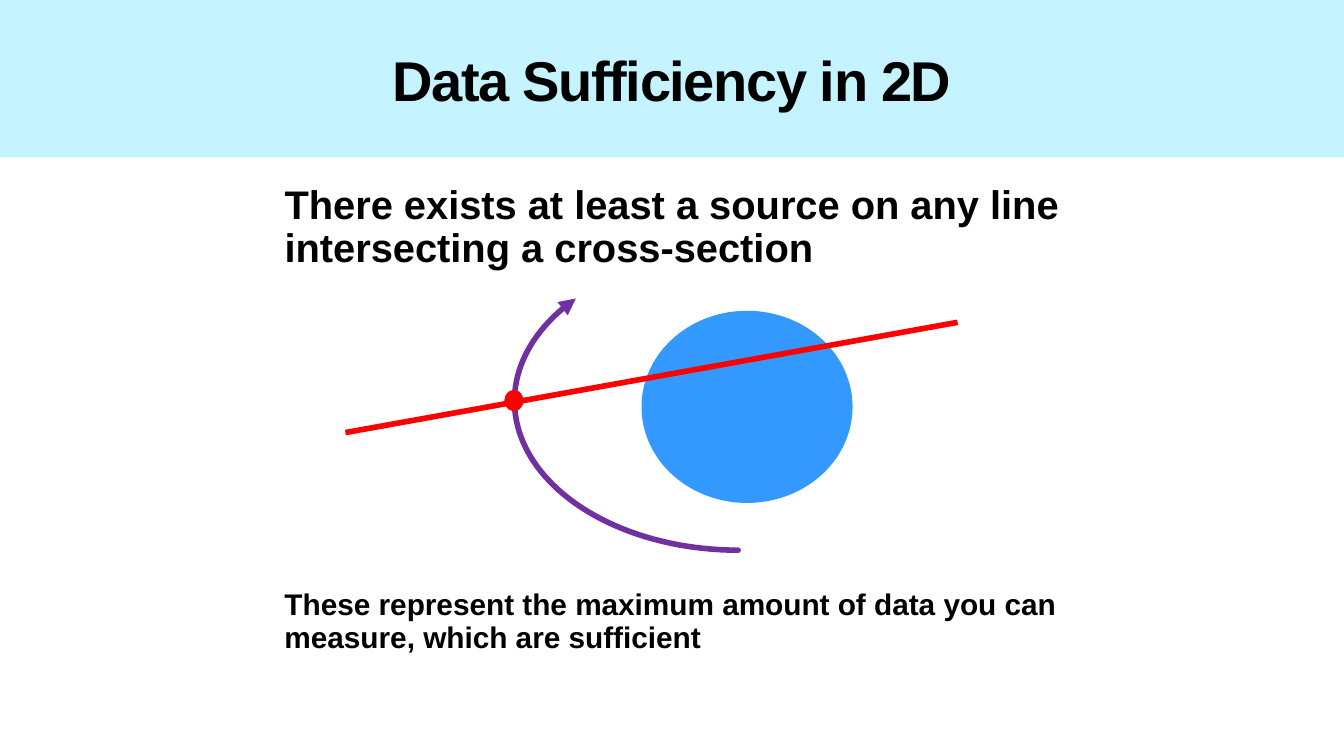
from math import cos, radians, sin

from lxml.etree import SubElement
from pptx import Presentation
from pptx.dml.color import RGBColor
from pptx.enum.shapes import MSO_CONNECTOR, MSO_SHAPE
from pptx.enum.text import MSO_ANCHOR, MSO_AUTO_SIZE, PP_ALIGN
from pptx.oxml.ns import qn
from pptx.util import Pt

EMU_PER_PX = 9525
BLACK, RED, BLUE, PURPLE, CYAN = "000000", "FF0000", "3399FF", "7030A0", "C5F3FF"


def px(n):
    return round(n * EMU_PER_PX)


def rgb(value):
    return RGBColor.from_string(value)


class SlideBuilder:
    font = "Arial"
    line_width = 4

    def __init__(self, slide):
        self.s = slide

    def fill(self, sp, color):
        sp.fill.solid()
        sp.fill.fore_color.rgb = rgb(color)

    def stroke(self, sp, color):
        sp.line.color.rgb = rgb(color)
        sp.line.width = Pt(self.line_width)

    def format_text(self, p, size):
        for r in p.runs:
            r.font.name, r.font.size, r.font.bold = self.font, Pt(size), True
            r.font.color.rgb = rgb(BLACK)

    def title(self, text, x, y, w, h):
        sp = self.s.shapes.title
        sp.left, sp.top, sp.width, sp.height = map(px, (x, y, w, h))
        self.fill(sp, CYAN)
        tf = sp.text_frame
        tf.text = text
        tf.auto_size = MSO_AUTO_SIZE.NONE
        tf.vertical_anchor = MSO_ANCHOR.MIDDLE
        p = tf.paragraphs[0]
        p.alignment = PP_ALIGN.CENTER
        self.format_text(p, 40)
        p.runs[0].font._element.set("spc", "-100")

    def text(self, text, x, y, w, h, size):
        tf = self.s.shapes.add_textbox(*map(px, (x, y, w, h))).text_frame
        tf.word_wrap = True
        tf.auto_size = MSO_AUTO_SIZE.SHAPE_TO_FIT_TEXT
        tf.margin_left = tf.margin_right = px(9)
        tf.margin_top = tf.margin_bottom = px(4)
        tf.text = text
        for p in tf.paragraphs:
            p.line_spacing = 0.9
            self.format_text(p, size)

    def ellipse(self, x, y, w, h, color, outline=None):
        sp = self.s.shapes.add_shape(MSO_SHAPE.OVAL, *map(px, (x, y, w, h)))
        sp.shadow.inherit = False
        self.fill(sp, color)
        if outline:
            self.stroke(sp, outline)
        else:
            sp.line.fill.background()

    def line(self, x1, y1, x2, y2, color):
        c = self.s.shapes.add_connector(MSO_CONNECTOR.STRAIGHT, *map(px, (x1, y1, x2, y2)))
        self.stroke(c, color)
        SubElement(c._element.spPr, qn("a:effectLst"))

    def arc_arrow(self, cx, cy, rx, ry, start, end, color, steps=60):
        angles = [radians(start + (end - start) * i / steps) for i in range(steps + 1)]
        points = [(px(cx + rx * cos(a)), px(cy + ry * sin(a))) for a in angles]
        fb = self.s.shapes.build_freeform(*points[0], scale=1.0)
        fb.add_line_segments(points[1:], close=False)
        sp = fb.convert_to_shape()
        sp.shadow.inherit = False
        sp.fill.background()
        self.stroke(sp, color)
        ln = sp.line._get_or_add_ln()
        ln.set("cap", "rnd")
        SubElement(ln, qn("a:round"))
        SubElement(ln, qn("a:tailEnd"), type="triangle")


def main():
    prs = Presentation()
    prs.slide_width, prs.slide_height = px(1280), px(720)
    b = SlideBuilder(prs.slides.add_slide(prs.slide_layouts[5]))

    # Title band
    b.title("Data Sufficiency in 2D", 0, 0, 1280, 150)

    # Cross-section and the line through it
    b.ellipse(611, 296, 201, 183, BLUE)
    b.line(329, 412, 912, 307, RED)

    # Condition
    b.text("There exists at least a source on any line\nintersecting a cross-section",
           262, 172, 761, 91, 28.5)

    # Source trajectory and the source on it
    b.arc_arrow(703, 382, 213, 142, 90, 223.5, PURPLE)
    b.ellipse(483, 374, 13, 15, RED, outline=RED)

    # Conclusion
    b.text("These represent the maximum amount of data you can measure, "
           "which are sufficient", 262, 558, 781, 70, 21.3)

    prs.save("out.pptx")


if __name__ == "__main__":
    main()
